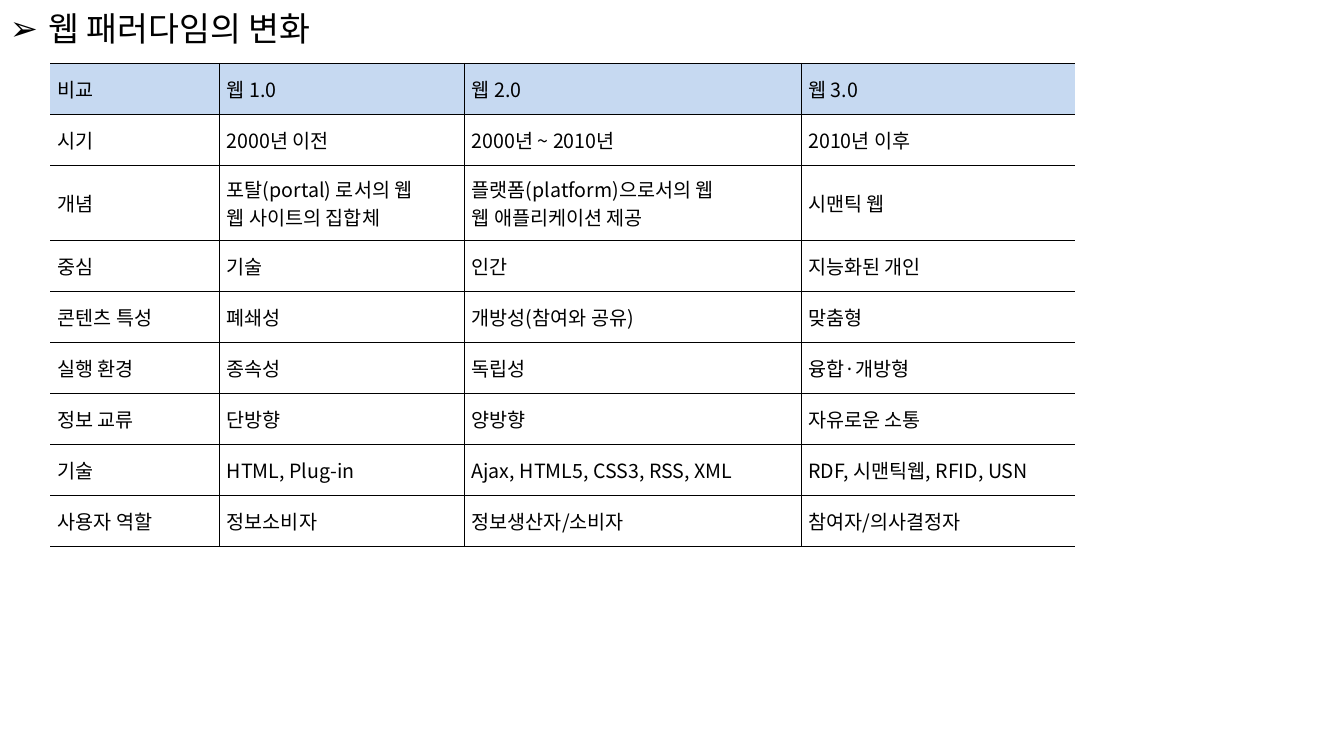
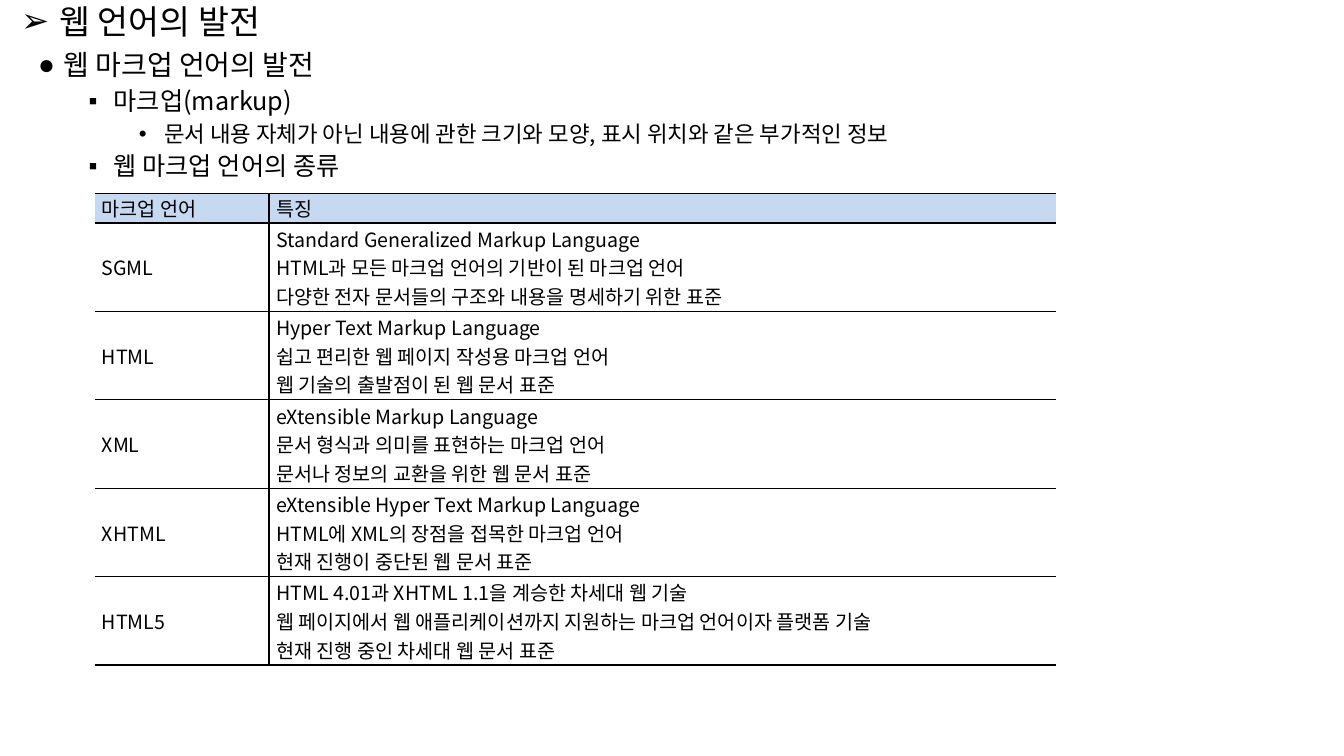
import pptx
import pptx.util
import pptx.dml.color
import pptx.enum.text
import pptx.oxml.ns
import lxml.etree

FONT = "Noto Sans CJK KR"
INK = "000000"
HEADER = "C6D9F1"
WIDTH = pptx.util.Inches(13.33)
HEIGHT = pptx.util.Inches(7.5)
TITLE_HEIGHT = 6.13
MIDDLE = pptx.enum.text.MSO_ANCHOR.MIDDLE

TITLE_LEVEL = ("➢", 24, 0.38, 0.38, 0)
OUTLINE_LEVELS = [
    ("●", 20, 0.25, 0.25, 10),
    ("▪", 18, 0.75, 0.25, 5),
    ("•", 16, 1.25, 0.25, 5),
]

PARADIGMS = [
    ["비교", "웹 1.0", "웹 2.0", "웹 3.0"],
    ["시기", "2000년 이전", "2000년 ~ 2010년", "2010년 이후"],
    ["개념", "포탈(portal) 로서의 웹\n웹 사이트의 집합체",
     "플랫폼(platform)으로서의 웹\n웹 애플리케이션 제공", "시맨틱 웹"],
    ["중심", "기술", "인간", "지능화된 개인"],
    ["콘텐츠 특성", "폐쇄성", "개방성(참여와 공유)", "맞춤형"],
    ["실행 환경", "종속성", "독립성", "융합·개방형"],
    ["정보 교류", "단방향", "양방향", "자유로운 소통"],
    ["기술", "HTML, Plug-in", "Ajax, HTML5, CSS3, RSS, XML", "RDF, 시맨틱웹, RFID, USN"],
    ["사용자 역할", "정보소비자", "정보생산자/소비자", "참여자/의사결정자"],
]

OUTLINE = [
    (0, "웹 마크업 언어의 발전"),
    (1, "마크업(markup)"),
    (2, "문서 내용 자체가 아닌 내용에 관한 크기와 모양, 표시 위치와 같은 부가적인 정보"),
    (1, "웹 마크업 언어의 종류"),
]

MARKUP_LANGUAGES = [
    ["마크업 언어", "특징"],
    ["SGML", "Standard Generalized Markup Language\n"
     "HTML과 모든 마크업 언어의 기반이 된 마크업 언어\n"
     "다양한 전자 문서들의 구조와 내용을 명세하기 위한 표준"],
    ["HTML", "Hyper Text Markup Language\n"
     "쉽고 편리한 웹 페이지 작성용 마크업 언어\n"
     "웹 기술의 출발점이 된 웹 문서 표준"],
    ["XML", "eXtensible Markup Language\n"
     "문서 형식과 의미를 표현하는 마크업 언어\n"
     "문서나 정보의 교환을 위한 웹 문서 표준"],
    ["XHTML", "eXtensible Hyper Text Markup Language\n"
     "HTML에 XML의 장점을 접목한 마크업 언어\n"
     "현재 진행이 중단된 웹 문서 표준"],
    ["HTML5", "HTML 4.01과 XHTML 1.1을 계승한 차세대 웹 기술\n"
     "웹 페이지에서 웹 애플리케이션까지 지원하는 마크업 언어이자 플랫폼 기술\n"
     "현재 진행 중인 차세대 웹 문서 표준"],
]


def across(percent):
    return round(WIDTH * percent / 100)


def down(percent):
    return round(HEIGHT * percent / 100)


def color(value):
    return pptx.dml.color.RGBColor.from_string(value)


def add_element(parent, tag, **attributes):
    return lxml.etree.SubElement(parent, pptx.oxml.ns.qn(tag), attributes)


def set_font(paragraph, size):
    font = paragraph.font
    font.size = pptx.util.Pt(size)
    font.name = FONT
    font.color.rgb = color(INK)
    add_element(paragraph._p.pPr.defRPr, "a:ea", typeface=FONT)


def add_bulleted(frame, lines):
    frame.word_wrap = True
    for index, (level, text) in enumerate(lines):
        mark, size, indent, hanging, gap = level
        paragraph = frame.add_paragraph() if index else frame.paragraphs[0]
        paragraph.text = text
        properties = paragraph._p.get_or_add_pPr()
        properties.set("marL", str(pptx.util.Inches(indent)))
        properties.set("indent", str(-pptx.util.Inches(hanging)))
        add_element(properties, "a:buFont", typeface="Arial")
        add_element(properties, "a:buChar", char=mark)
        paragraph.line_spacing = 0.9
        paragraph.space_before = pptx.util.Pt(gap if index else 0)
        set_font(paragraph, size)


def add_title(slide, text, left, top, width):
    title = slide.shapes.add_textbox(across(left), down(top), across(width), down(TITLE_HEIGHT))
    title.text_frame.vertical_anchor = MIDDLE
    add_bulleted(title.text_frame, [(TITLE_LEVEL, text)])


def add_outline(slide, lines, left, top, width, height):
    outline = slide.shapes.add_textbox(across(left), down(top), across(width), down(height))
    add_bulleted(outline.text_frame, [(OUTLINE_LEVELS[depth], text) for depth, text in lines])


def set_borders(cell, is_first, is_last):
    properties = cell._tc.get_or_add_tcPr()
    sides = {"a:lnL": not is_first, "a:lnR": not is_last, "a:lnT": True, "a:lnB": True}
    for side, visible in sides.items():
        border = add_element(properties, side, w=str(pptx.util.Pt(1)))
        if visible:
            add_element(add_element(border, "a:solidFill"), "a:srgbClr", val=INK)
        else:
            add_element(border, "a:noFill")


def fill_cell(cell, text, is_header):
    if is_header:
        cell.fill.solid()
        cell.fill.fore_color.rgb = color(HEADER)
    else:
        cell.fill.background()
    cell.vertical_anchor = MIDDLE
    cell.margin_left = cell.margin_right = pptx.util.Inches(0.07)
    cell.margin_top = cell.margin_bottom = 0
    cell.text = text
    for paragraph in cell.text_frame.paragraphs:
        paragraph.alignment = pptx.enum.text.PP_ALIGN.JUSTIFY
        set_font(paragraph, 14)


def add_comparison(slide, entries, left, top, widths, heights):
    table = slide.shapes.add_table(
        len(entries), len(widths), across(left), down(top),
        across(sum(widths)), down(sum(heights))).table
    table.first_row = table.horz_banding = False
    for column, width in zip(table.columns, widths):
        column.width = across(width)
    for row, height in zip(table.rows, heights):
        row.height = down(height)
    for row_index, texts in enumerate(entries):
        for column_index, text in enumerate(texts):
            cell = table.cell(row_index, column_index)
            set_borders(cell, column_index == 0, column_index == len(widths) - 1)
            fill_cell(cell, text, row_index == 0)


def build_paradigm_slide(slide):
    add_title(slide, "웹 패러다임의 변화", 0, 1, 38.7)
    add_comparison(slide, PARADIGMS, 3.75, 8.4,
                   [12.6, 18.22, 25.05, 20.4], [6.75] * 2 + [9.92] + [6.75] * 6)


def build_language_slide(slide):
    add_title(slide, "웹 언어의 발전", 0.83, 0, 44.3)
    add_outline(slide, OUTLINE, 2.1, TITLE_HEIGHT, 86.27, 19.47)
    add_comparison(slide, MARKUP_LANGUAGES, 7.05, 25.6,
                   [12.97, 58.58], [3.9] + [11.7] * 5)


def main():
    presentation = pptx.Presentation()
    presentation.slide_width = WIDTH
    presentation.slide_height = HEIGHT
    blank = presentation.slide_layouts[6]
    for build in (build_paradigm_slide, build_language_slide):
        build(presentation.slides.add_slide(blank))
    presentation.save("out.pptx")


if __name__ == "__main__":
    main()
